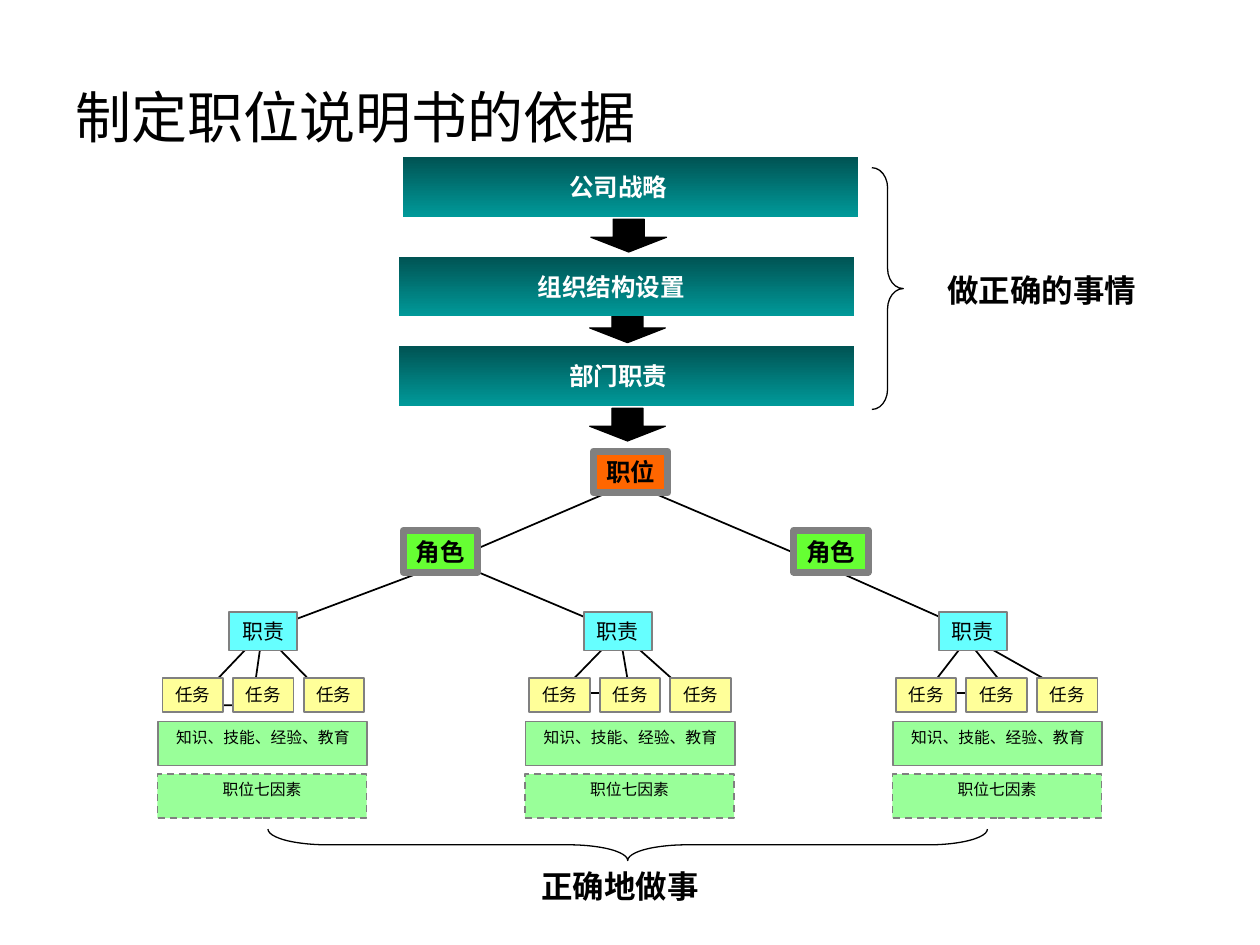
"""Build a slide on what a job description rests on."""
from dataclasses import dataclass

from pptx import Presentation
from pptx.dml.color import RGBColor
from pptx.enum import dml, shapes, text
from pptx.util import Pt

BLACK = RGBColor(0, 0, 0)
WHITE = RGBColor(0xFF, 0xFF, 0xFF)
GRAY = RGBColor(0x80, 0x80, 0x80)
DARK = RGBColor(0x00, 0x54, 0x54)
TEAL = RGBColor(0x00, 0x99, 0x99)
ORANGE = RGBColor(0xFF, 0x66, 0x00)
LIME = RGBColor(0x66, 0xFF, 0x33)
CYAN = RGBColor(0x66, 0xFF, 0xFF)
YELLOW = RGBColor(0xFF, 0xFF, 0x99)
GREEN = RGBColor(0x99, 0xFF, 0x99)
CJK = "Noto Sans CJK SC"


@dataclass(frozen=True)
class Label:
    words: str
    x: float
    y: float
    w: float
    h: float
    size: float
    color: RGBColor = BLACK
    bold: bool = True
    wrap: bool = False
    align: text.PP_ALIGN = text.PP_ALIGN.LEFT
    anchor: text.MSO_ANCHOR = text.MSO_ANCHOR.TOP


@dataclass(frozen=True)
class Style:
    words: str
    w: float
    h: float
    fill: RGBColor
    size: float
    edge: float = 1
    bold: bool = False
    dash: bool = False
    wrap: bool = False


@dataclass(frozen=True)
class Step:
    words: str
    x: float
    y: float
    left: float
    wide: float


@dataclass(frozen=True)
class Brace:
    x: float
    y: float
    w: float
    h: float
    curve: float
    turn: float = 0


POST = Style("职位", 42.5, 23.8, ORANGE, 14, edge=4, bold=True)
ROLE = Style("角色", 42.5, 23.8, LIME, 14, edge=4, bold=True)
DUTY = Style("职责", 38.9, 21.8, CYAN, 12)
TASK = Style("任务", 34.6, 19.4, YELLOW, 10)
SKILL = Style("知识、技能、经验、教育", 119.5, 25.2, GREEN, 9, wrap=True)
FACTOR = Style("职位七因素", 119.5, 25.2, GREEN, 9, dash=True, wrap=True)

STEPS = [
    Step("公司战略", 230.4, 90, 318.2, 70.6),
    Step("组织结构设置", 228, 146.9, 300.2, 98.6),
    Step("部门职责", 228, 198, 318.2, 70.6),
]
ARROWS = [(337.7, 125.3), (337, 177.1), (337, 233.3)]
BRANCHES = [
    [(360, 276.5), (475.2, 325.4), (555.8, 360.7), (529.2, 396), (576.7, 396),
     (549.4, 360.7), (610.6, 396)],
    [(252, 318.2), (353.5, 360.7), (319.7, 396), (360, 396), (353.5, 360.7),
     (401, 403.2)],
    [(360, 276.5), (245.5, 325.4), (150.5, 360.7), (110.2, 403.2), (144, 403.2),
     (150.5, 360.7), (184.3, 396)],
]
BRACES = [
    Brace(498.2, 95.8, 18, 138.2, 0.64),
    Brace(349.7, 277.2, 18, 411.1, 1.88, turn=90),
]
LABELS = [
    Label("制定职位说明书的依据", 36, 21.6, 648, 90, 32, bold=False, wrap=True,
          anchor=text.MSO_ANCHOR.MIDDLE),
    Label("做正确的事情", 534.2, 151.2, 149.8, 28.8, 18, wrap=True),
    Label("正确地做事", 246.2, 491.8, 216, 28.8, 18, wrap=True,
          align=text.PP_ALIGN.CENTER),
]


def write(frame, words: str, size: float, face: str, color: RGBColor,
          bold: bool, align: text.PP_ALIGN, wrap: bool) -> None:
    """Fill a text frame with one styled line."""
    frame.word_wrap = wrap
    if not wrap:
        frame.auto_size = text.MSO_AUTO_SIZE.SHAPE_TO_FIT_TEXT
    line = frame.paragraphs[0]
    line.text = words
    line.alignment = align
    font = line.font
    font.size, font.name, font.bold = Pt(size), face, bold
    font.color.rgb = color


def draw_label(slide, item: Label) -> None:
    """Add a free label."""
    box = slide.shapes.add_textbox(Pt(item.x), Pt(item.y), Pt(item.w), Pt(item.h))
    box.text_frame.vertical_anchor = item.anchor
    write(box.text_frame, item.words, item.size, "Arial", item.color,
          item.bold, item.align, item.wrap)


def add_shape(slide, kind: shapes.MSO_SHAPE, x: float, y: float, w: float, h: float):
    """Add a preset shape with no shadow."""
    shape = slide.shapes.add_shape(kind, Pt(x), Pt(y), Pt(w), Pt(h))
    shape.shadow.inherit = False
    return shape


def set_line(shape, color: RGBColor, width: float) -> None:
    """Color the edge of a shape."""
    shape.line.color.rgb = color
    shape.line.width = Pt(width)


def draw_box(slide, style: Style, x: float, y: float) -> None:
    """Add one box of the tree."""
    box = add_shape(slide, shapes.MSO_SHAPE.RECTANGLE, x, y, style.w, style.h)
    box.fill.solid()
    box.fill.fore_color.rgb = style.fill
    set_line(box, GRAY, style.edge)
    if style.dash:
        box.line.dash_style = dml.MSO_LINE.DASH
    box.text_frame.vertical_anchor = text.MSO_ANCHOR.TOP
    write(box.text_frame, style.words, style.size, CJK, BLACK, style.bold,
          text.PP_ALIGN.CENTER, style.wrap)


def draw_step(slide, step: Step) -> None:
    """Add a shaded bar and its label."""
    bar = add_shape(slide, shapes.MSO_SHAPE.RECTANGLE, step.x, step.y, 260, 33.8)
    bar.fill.gradient()
    bar.fill.gradient_angle = 270
    for stop, color, place in zip(bar.fill.gradient_stops, (DARK, TEAL), (0, 1)):
        stop.color.rgb = color
        stop.position = place
    bar.line.fill.background()
    draw_label(slide, Label(step.words, step.left, step.y + 5, step.wide, 24.5, 14, WHITE))


def draw_arrow(slide, x: float, y: float) -> None:
    """Add a black arrow that points down."""
    arrow = add_shape(slide, shapes.MSO_SHAPE.DOWN_ARROW, x, y, 43.2, 18.7)
    arrow.adjustments[0] = 0.45
    arrow.adjustments[1] = 0.45
    arrow.adjustments[0] = 0.41
    arrow.fill.solid()
    arrow.fill.fore_color.rgb = BLACK
    set_line(arrow, BLACK, 0.75)


def draw_branch(slide, points: list[tuple[float, float]]) -> None:
    """Add one open line of the tree."""
    pen = slide.shapes.build_freeform(*points[0], scale=Pt(1))
    pen.add_line_segments(points[1:], close=False)
    branch = pen.convert_to_shape()
    branch.shadow.inherit = False
    branch.fill.background()
    set_line(branch, BLACK, 1)


def draw_brace(slide, item: Brace) -> None:
    """Add a brace."""
    brace = add_shape(slide, shapes.MSO_SHAPE.RIGHT_BRACE, item.x, item.y, item.w, item.h)
    brace.adjustments[0] = item.curve
    brace.rotation = item.turn
    brace.fill.background()
    set_line(brace, BLACK, 0.75)


def main() -> None:
    """Build and save the slide."""
    deck = Presentation()
    deck.slide_width, deck.slide_height = Pt(720), Pt(540)
    slide = deck.slides.add_slide(deck.slide_layouts[6])
    for spot in ARROWS:
        draw_arrow(slide, *spot)
    for step in STEPS:
        draw_step(slide, step)
    for points in BRANCHES:
        draw_branch(slide, points)
    draw_box(slide, POST, 339.1, 257.8)
    for x in (230.4, 453.6):
        draw_box(slide, ROLE, x, 303.1)
    for i in range(3):
        draw_box(slide, DUTY, 131 + 202.7 * i, 349.9)
        for j in range(3):
            draw_box(slide, TASK, 92.9 + 209.5 * i + 40.3 * j, 387.4)
        draw_box(slide, SKILL, 90.4 + 210 * i, 412.3)
        draw_box(slide, FACTOR, 90 + 210 * i, 442.3)
    for brace in BRACES:
        draw_brace(slide, brace)
    for item in LABELS:
        draw_label(slide, item)
    deck.save("out.pptx")


if __name__ == "__main__":
    main()
